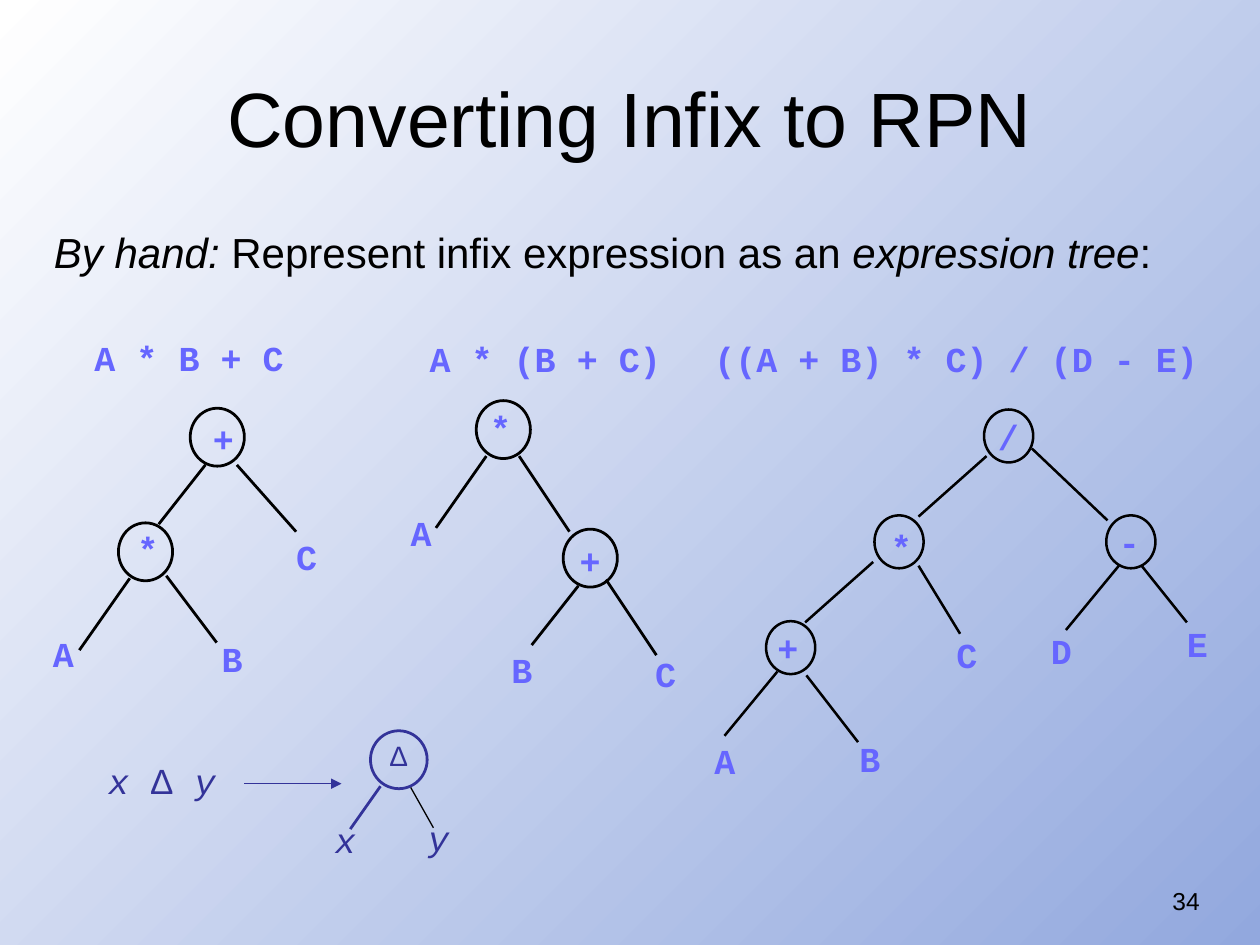
from dataclasses import dataclass

from lxml import etree
from pptx import Presentation
from pptx import util as u
from pptx.dml.color import RGBColor
from pptx.enum import shapes, text
from pptx.oxml.ns import qn

EMU_PER_PX = 9144


@dataclass(frozen=True)
class Theme:
    black: str = "000000"
    code: str = "6666FF"
    pattern: str = "333399"
    light: str = "FFFFFF"
    deep: str = "92A8DE"
    sans: str = "Arial"
    mono: str = "Courier New"
    title: int = 44
    body: int = 24
    label: int = 20
    symbol: int = 16
    footer: int = 14
    thick: float = 1.59
    medium: float = 1.45
    thin: float = 0.75


class Deck:
    """Draws themed elements on the current slide, in px."""

    def __init__(self, theme, width, height):
        self.theme = theme
        self.prs = Presentation()
        self.prs.slide_width, self.prs.slide_height = self.px(width, height)

    def px(self, *lengths):
        return [u.Emu(length * EMU_PER_PX) for length in lengths]

    def slide(self):
        self.current = self.prs.slides.add_slide(self.prs.slide_layouts[5])
        self.canvas = self.current.shapes
        fill = self.current.background.fill
        fill.gradient()
        fill.gradient_angle = 315
        for stop, color in zip(fill.gradient_stops, (self.theme.light, self.theme.deep)):
            stop.color.rgb = RGBColor.from_string(color)

    def group(self):
        self.canvas = self.current.shapes.add_group_shape().shapes

    def run(self, paragraph, words, size, color, font, bold=False, italic=False):
        run = paragraph.add_run()
        run.text = words
        run.font.size, run.font.name = u.Pt(size), font
        run.font.bold, run.font.italic = bold, italic
        run.font.color.rgb = RGBColor.from_string(color)

    def title(self, box, words):
        heading = self.current.shapes.title
        heading.left, heading.top, heading.width, heading.height = self.px(*box)
        frame = heading.text_frame
        frame.auto_size = text.MSO_AUTO_SIZE.NONE
        frame.vertical_anchor = text.MSO_ANCHOR.MIDDLE
        frame.paragraphs[0].alignment = text.PP_ALIGN.CENTER
        self.run(frame.paragraphs[0], words, self.theme.title, self.theme.black, self.theme.sans)

    def text(self, box, inset=True, wrap=True, before=0, align=text.PP_ALIGN.LEFT):
        frame = self.canvas.add_textbox(*self.px(*box)).text_frame
        frame.word_wrap = wrap
        frame.margin_left = frame.margin_right = self.px(10 * inset)[0]
        frame.margin_top = frame.margin_bottom = self.px(5 * inset)[0]
        paragraph = frame.paragraphs[0]
        paragraph.alignment, paragraph.space_before = align, u.Pt(before)
        return paragraph

    def code(self, words, x, y, width=17, wrap=False):
        line = self.text((x, y, width, 33), inset=False, wrap=wrap)
        self.run(line, words, self.theme.label, self.theme.code, self.theme.mono, bold=True)

    def variables(self, box, *words):
        line = self.text(box, before=12.5)
        for word in words:
            is_operator = word == "Δ"
            font = self.theme.sans if is_operator else self.theme.mono
            self.run(line, word, self.theme.label, self.theme.pattern, font, italic=not is_operator)

    def stroke(self, line, color, weight):
        line.color.rgb, line.width = RGBColor.from_string(color), u.Pt(weight)

    def circle(self, box, color, weight):
        circle = self.canvas.add_shape(shapes.MSO_SHAPE.OVAL, *self.px(*box))
        circle.shadow.inherit = False
        circle.fill.background()
        self.stroke(circle.line, color, weight)

    def edge(self, ends, color, weight, arrow=False):
        edge = self.canvas.add_connector(shapes.MSO_CONNECTOR.STRAIGHT, *self.px(*ends))
        self.stroke(edge.line, color, weight)
        properties = edge._element.spPr
        if arrow:
            etree.SubElement(properties.find(qn("a:ln")), qn("a:tailEnd"), type="triangle")
        etree.SubElement(properties, qn("a:effectLst"))

    def tree(self, operators, operands, edges, disc, weight):
        self.group()
        for ends in edges:
            self.edge(ends, self.theme.black, weight)
        for sign, x, y, dx, dy in operators:
            self.circle((x, y, *disc), self.theme.black, weight)
            self.code(sign, x + dx, y + dy)
        for letter, x, y in operands:
            self.code(letter, x, y)


def main():
    theme = Theme()
    deck = Deck(theme, 1000, 750)
    deck.slide()
    deck.title((50, 30, 900, 125), "Converting Infix to RPN")

    number = deck.text((729, 698, 233, 52), align=text.PP_ALIGN.RIGHT)
    deck.run(number, "34", theme.footer, theme.black, theme.sans)

    intro = deck.text((33, 175, 942, 50), before=15)
    for words, italic in (("By hand:", True), (" Represent infix expression as an ", False),
                          ("expression tree", True), (":", False)):
        deck.run(intro, words, theme.body, theme.black, theme.sans, italic=italic)

    deck.code("A * B + C", 75, 267, 167)
    deck.code("A * (B + C)", 341, 268, 201)
    deck.code("((A + B) * C) / (D - E)", 567, 268, 433, wrap=True)

    large, small = (43, 46), (39, 42)
    deck.tree(
        [("+", 151, 324, 18, 7), ("*", 94, 415, 15, 4)],
        [("C", 235, 425), ("A", 42, 502), ("B", 176, 506)],
        [(163, 369, 126, 416), (188, 369, 235, 422),
         (103, 459, 63, 516), (132, 457, 172, 510)],
        large, theme.thick)
    deck.tree(
        [("*", 378, 318, 11, 5), ("+", 447, 420, 13, 8)],
        [("A", 326, 406), ("B", 406, 515), ("C", 520, 518)],
        [(386, 362, 346, 419), (412, 362, 452, 422),
         (459, 465, 422, 512), (481, 460, 521, 520)],
        large, theme.thick)
    deck.tree(
        [("/", 781, 325, 11, 5), ("*", 694, 409, 13, 8),
         ("-", 878, 409, 10, 4), ("+", 608, 493, 9, 4)],
        [("A", 567, 587), ("B", 682, 585), ("C", 759, 503), ("D", 834, 500), ("E", 942, 494)],
        [(783, 362, 729, 410), (819, 356, 879, 413), (693, 446, 639, 494),
         (729, 449, 762, 503), (888, 449, 846, 500), (906, 449, 942, 494),
         (617, 533, 575, 584), (640, 536, 681, 589)],
        small, theme.medium)

    deck.group()
    deck.variables((76, 598, 124, 44), "x ", "Δ", " y")
    deck.edge((194, 622, 271, 622), theme.pattern, theme.thin, arrow=True)
    deck.circle((294, 580, 45, 46), theme.pattern, theme.thick)
    operator = deck.text((309, 586, 14, 27), inset=False, wrap=False)
    deck.run(operator, "Δ", theme.symbol, theme.pattern, theme.sans)
    deck.edge((302, 624, 278, 658), theme.pattern, theme.thick)
    deck.edge((326, 625, 344, 657), theme.black, theme.thin)
    deck.variables((256, 645, 38, 44), "x")
    deck.variables((330, 643, 38, 44), "y")

    deck.prs.save("out.pptx")


if __name__ == "__main__":
    main()
